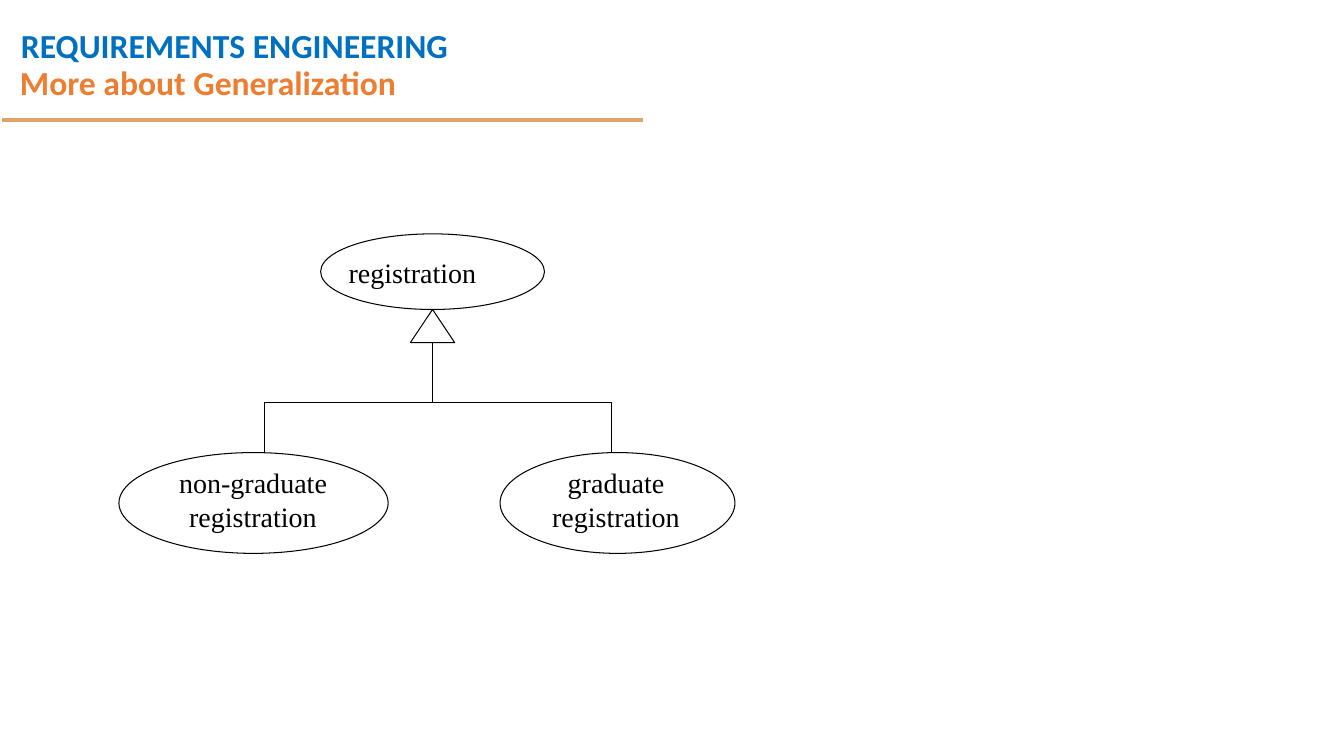
from dataclasses import dataclass

from lxml import etree
from pptx import Presentation
from pptx.dml.color import RGBColor
from pptx.enum.shapes import MSO_CONNECTOR, MSO_SHAPE
from pptx.enum.text import MSO_ANCHOR, PP_ALIGN
from pptx.oxml.ns import qn
from pptx.util import Inches, Pt

ELLIPSE = MSO_SHAPE.OVAL
TRIANGLE = MSO_SHAPE.ISOSCELES_TRIANGLE
STRAIGHT = MSO_CONNECTOR.STRAIGHT
TOP, MIDDLE = MSO_ANCHOR.TOP, MSO_ANCHOR.MIDDLE
LEFT, CENTER = PP_ALIGN.LEFT, PP_ALIGN.CENTER


@dataclass(frozen=True)
class Theme:
    blue: RGBColor = RGBColor(0x00, 0x70, 0xC0)
    orange: RGBColor = RGBColor(0xED, 0x7D, 0x31)
    rule: RGBColor = RGBColor(0xDF, 0xA2, 0x67)
    ink: RGBColor = RGBColor(0x00, 0x00, 0x00)
    heading_font: str = "Calibri"
    label_font: str = "Times New Roman"
    heading_size: Pt = Pt(24)
    label_size: Pt = Pt(20)
    rule_width: Pt = Pt(3)
    outline_width: Pt = Pt(0.75)


THEME = Theme()


def add_text(s, box, lines, font, size, color, bold=False, align=LEFT,
             anchor=TOP, spacing=1.0):
    tf = s.shapes.add_textbox(*map(Inches, box)).text_frame
    tf.word_wrap = True
    tf.vertical_anchor = anchor
    for i, line in enumerate(lines):
        p = tf.paragraphs[0] if i == 0 else tf.add_paragraph()
        p.text = line
        p.alignment = align
        p.line_spacing = spacing
        p.font.name = font
        p.font.size = size
        p.font.bold = bold
        p.font.color.rgb = color


def add_heading(s, box, text, color, anchor, spacing):
    add_text(s, box, [text], THEME.heading_font, THEME.heading_size, color,
             bold=True, anchor=anchor, spacing=spacing)


def add_label(s, box, lines, align):
    add_text(s, box, lines, THEME.label_font, THEME.label_size, THEME.ink,
             align=align)


def add_outline(s, kind, box):
    sp = s.shapes.add_shape(kind, *map(Inches, box))
    sp.shadow.inherit = False
    sp.fill.background()
    sp.line.color.rgb = THEME.ink
    sp.line.width = THEME.outline_width


def add_line(s, x1, y1, x2, y2, color=THEME.ink, width=THEME.outline_width):
    line = s.shapes.add_connector(STRAIGHT, *map(Inches, (x1, y1, x2, y2)))
    line.line.color.rgb = color
    line.line.width = width
    etree.SubElement(line._element.spPr, qn("a:effectLst"))


def add_use_case(s, ellipse, label, lines, align=CENTER):
    add_outline(s, ELLIPSE, ellipse)
    add_label(s, label, lines, align)


def add_generalization(s, parent_x, child_xs, parent_y, bar_y, child_y):
    width, height = 0.44, 0.33
    base_y = parent_y + height
    add_outline(s, TRIANGLE, (parent_x - width / 2, parent_y, width, height))
    add_line(s, parent_x, base_y, parent_x, bar_y)
    add_line(s, min(child_xs), bar_y, max(child_xs), bar_y)
    for x in child_xs:
        add_line(s, x, bar_y, x, child_y)


def main():
    prs = Presentation()
    prs.slide_width, prs.slide_height = Inches(13.33), Inches(7.5)
    s = prs.slides.add_slide(prs.slide_layouts[6])

    add_heading(s, (0.11, 0, 4.61, 0.64), "REQUIREMENTS ENGINEERING",
                THEME.blue, TOP, 1.5)
    add_line(s, 0.02, 1.19, 6.38, 1.19, THEME.rule, THEME.rule_width)
    add_heading(s, (0.1, 0.4, 11.5, 0.88), "More about Generalization",
                THEME.orange, MIDDLE, 0.9)

    add_use_case(s, (3.18, 2.32, 2.22, 0.75), (3.36, 2.49, 2.04, 0.43),
                 ["registration"], LEFT)
    add_use_case(s, (1.18, 4.49, 2.67, 1), (1.29, 4.57, 2.44, 0.77),
                 ["non-graduate", "registration"])
    add_use_case(s, (4.96, 4.49, 2.33, 1), (5.04, 4.57, 2.14, 0.77),
                 ["graduate", "registration"])
    add_generalization(s, 4.29, (2.62, 6.07), 3.07, 3.99, 4.49)

    prs.save("out.pptx")


if __name__ == "__main__":
    main()
